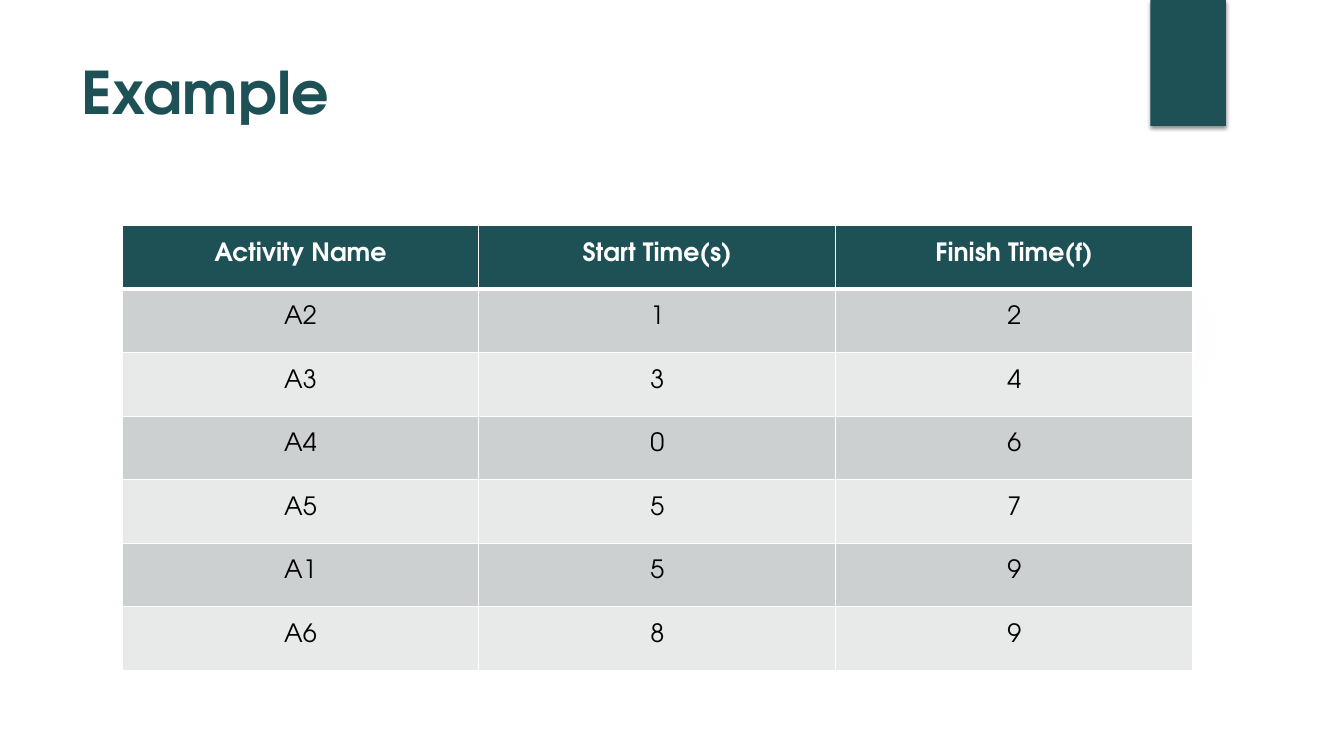
from lxml.etree import SubElement
from pptx import Presentation
from pptx.dml.color import RGBColor
from pptx.enum.shapes import MSO_SHAPE
from pptx.enum.text import MSO_ANCHOR, PP_ALIGN
from pptx.oxml.ns import qn
from pptx.util import Inches, Pt

FONT = "TeX Gyre Adventor"
TEAL, WHITE, BLACK, GLOW = "1E5155", "FFFFFF", "000000", "F3F3F3"
BANDS = ["CDD0D1", "E8E9E9"]
TITLE = "Example"
ACTIVITIES = [
    ("Activity Name", "Start Time(s)", "Finish Time(f)"),
    ("A2", "1", "2"),
    ("A3", "3", "4"),
    ("A4", "0", "6"),
    ("A5", "5", "7"),
    ("A1", "5", "9"),
    ("A6", "8", "9"),
]
GLOW_STOPS = [(0, 7), (36, 6), (69, 0)]
LEFT, TOP, COL_W, ROW_H = 1.21, 2.24, 3.54, 0.63


def rgb(color):
    return RGBColor.from_string(color)


def add(parent, tag, **attrs):
    return SubElement(parent, qn(tag), {k: str(v) for k, v in attrs.items()})


def add_color(parent, color, alpha=100):
    clr = add(parent, "a:srgbClr", val=color)
    add(clr, "a:alpha", val=alpha * 1000)


def add_run(p, text, size, color, bold):
    r = p.add_run()
    r.text = text
    r.font.name, r.font.size, r.font.bold = FONT, Pt(size), bold
    r.font.color.rgb = rgb(color)


def add_plain(shape, *box):
    sp = s.shapes.add_shape(shape, *map(Inches, box))
    sp.line.fill.background()
    sp.shadow.inherit = False
    return sp


def add_border(cell, side, width):
    ln = add(cell._tc.get_or_add_tcPr(), f"a:ln{side}", w=Pt(width))
    add_color(add(ln, "a:solidFill"), WHITE)


prs = Presentation()
prs.slide_width, prs.slide_height = Inches(13.33), Inches(7.5)
s = prs.slides.add_slide(prs.slide_layouts[5])

glow = add_plain(MSO_SHAPE.OVAL, 9.41, 1.83, 3.08, 3.08)
grad = add(glow._element.spPr, "a:gradFill", rotWithShape=1)
stops = add(grad, "a:gsLst")
for pos, alpha in GLOW_STOPS:
    add_color(add(stops, "a:gs", pos=pos * 1000), GLOW, alpha)
center = add(grad, "a:path", path="circle")
add(center, "a:fillToRect", l=50000, t=50000, r=50000, b=50000)
glow._element.spPr.insert(2, grad)

tab = add_plain(MSO_SHAPE.RECTANGLE, 11.41, 0, 0.75, 1.25)
tab.fill.solid()
tab.fill.fore_color.rgb = rgb(TEAL)
effects = tab._element.spPr.find(qn("a:effectLst"))
shadow = add(effects, "a:outerShdw", blurRad=Pt(3), dist=Pt(2), dir=90 * 60000, rotWithShape=0)
add_color(shadow, BLACK, 45)

title = s.shapes.title
title.left, title.top, title.width, title.height = map(Inches, (0.71, 0.5, 10.29, 1.53))
tf = title.text_frame
tf.vertical_anchor = MSO_ANCHOR.TOP
p = tf.paragraphs[0]
p.alignment = PP_ALIGN.LEFT
add_run(p, TITLE, 42, TEAL, True)

rows, cols = len(ACTIVITIES), len(ACTIVITIES[0])
table = s.shapes.add_table(rows, cols, Inches(LEFT), Inches(TOP),
                           Inches(COL_W * cols), Inches(ROW_H * rows)).table
for col in table.columns:
    col.width = Inches(COL_W)
for i, activity in enumerate(ACTIVITIES):
    table.rows[i].height = Inches(ROW_H)
    header = i == 0
    for j, text in enumerate(activity):
        cell = table.cell(i, j)
        widths = {"L": 1, "R": 1, "T": 3 if i == 1 else 1, "B": 3 if header else 1}
        for side, width in widths.items():
            add_border(cell, side, width)
        cell.fill.solid()
        cell.fill.fore_color.rgb = rgb(TEAL if header else BANDS[(i - 1) % 2])
        p = cell.text_frame.paragraphs[0]
        p.alignment, p.line_spacing = PP_ALIGN.CENTER, 1.5
        add_run(p, text, 18, WHITE if header else BLACK, header)

prs.save("out.pptx")
